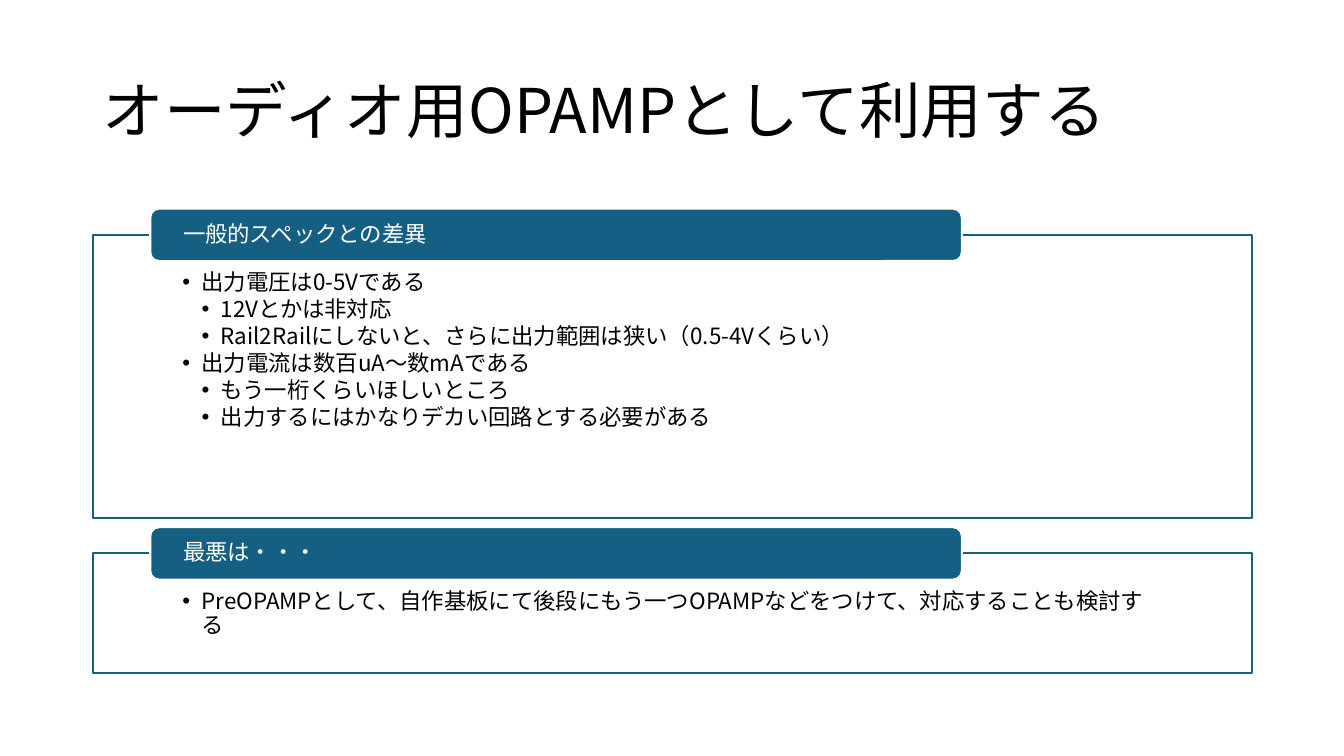
import pptx
import pptx.util
from lxml import etree
from pptx.dml.color import RGBColor
from pptx.enum.shapes import MSO_SHAPE
from pptx.enum.text import MSO_ANCHOR, PP_ALIGN
from pptx.oxml.ns import qn
from pptx.util import Inches

FONT = "Noto Sans CJK JP"
COLORS = {"teal": "156082", "white": "FFFFFF", "black": "000000"}
INDENT = 0.19

# Each section: top of its frame, frame height, heading, (level, text) bullets
SECTIONS = [
    (2.33, 2.81, "一般的スペックとの差異", [
        (1, "出力電圧は0-5Vである"),
        (2, "12Vとかは非対応"),
        (2, "Rail2Railにしないと、さらに出力範囲は狭い（0.5-4Vくらい）"),
        (1, "出力電流は数百uA～数mAである"),
        (2, "もう一桁くらいほしいところ"),
        (2, "出力するにはかなりデカい回路とする必要がある"),
    ]),
    (5.49, 1.19, "最悪は・・・", [
        (1, "PreOPAMPとして、自作基板にて後段にもう一つOPAMPなどをつけて、対応することも検討する"),
    ]),
]


def write(para, text, size, color):
    para.alignment = PP_ALIGN.LEFT
    para.line_spacing = 0.9
    span = para.add_run()
    span.text = text
    span.font.size = pptx.util.Pt(size)
    span.font.color.rgb = RGBColor.from_string(COLORS[color])
    span.font.name = FONT
    etree.SubElement(span.font._element, qn("a:ea"), typeface=FONT)


def add_panel(kind, place, fill, line, margins, anchor):
    """Add a filled, outlined shape ready to hold wrapped text."""
    panel = page.shapes.add_shape(kind, *map(Inches, place))
    panel.shadow.inherit = False
    panel.fill.solid()
    panel.fill.fore_color.rgb = RGBColor.from_string(COLORS[fill])
    panel.line.color.rgb = RGBColor.from_string(COLORS[line])
    panel.line.width = pptx.util.Pt(1.5)
    frame = panel.text_frame
    frame.word_wrap = True
    frame.vertical_anchor = anchor
    (frame.margin_left, frame.margin_top,
     frame.margin_right, frame.margin_bottom) = map(Inches, margins)
    return panel


deck = pptx.Presentation()
deck.slide_width = Inches(13.33)
deck.slide_height = Inches(7.5)
page = deck.slides.add_slide(deck.slide_layouts[6])

title = page.shapes.add_textbox(Inches(0.92), Inches(0.4), Inches(11.5), Inches(1.45))
title.text_frame.word_wrap = True
title.text_frame.vertical_anchor = MSO_ANCHOR.MIDDLE
write(title.text_frame.paragraphs[0], "オーディオ用OPAMPとして利用する", 44, "black")

for top, height, heading, bullets in SECTIONS:
    box = add_panel(MSO_SHAPE.RECTANGLE, (0.92, top, 11.5, height), "white", "teal",
                    (0.89, 0.36, 0.89, 0.12), MSO_ANCHOR.TOP)
    box_color = box.fill._xPr.find(qn("a:solidFill"))[0]
    etree.SubElement(box_color, qn("a:alpha"), val="90000")
    for number, (level, text) in enumerate(bullets):
        frame = box.text_frame
        para = frame.add_paragraph() if number else frame.paragraphs[0]
        para.level = level
        props = para._p.get_or_add_pPr()
        props.set("marL", str(Inches(INDENT * level)))
        props.set("indent", str(-Inches(INDENT)))
        etree.SubElement(props, qn("a:buFont"), typeface="Arial")
        etree.SubElement(props, qn("a:buChar"), char="•")
        para.space_after = pptx.util.Pt(2)
        write(para, text, 16, "black")

    label = add_panel(MSO_SHAPE.ROUNDED_RECTANGLE, (1.49, top - 0.26, 8.05, 0.52),
                      "teal", "white", (0.3, 0, 0.3, 0), MSO_ANCHOR.MIDDLE)
    write(label.text_frame.paragraphs[0], heading, 16, "white")

deck.save("out.pptx")
